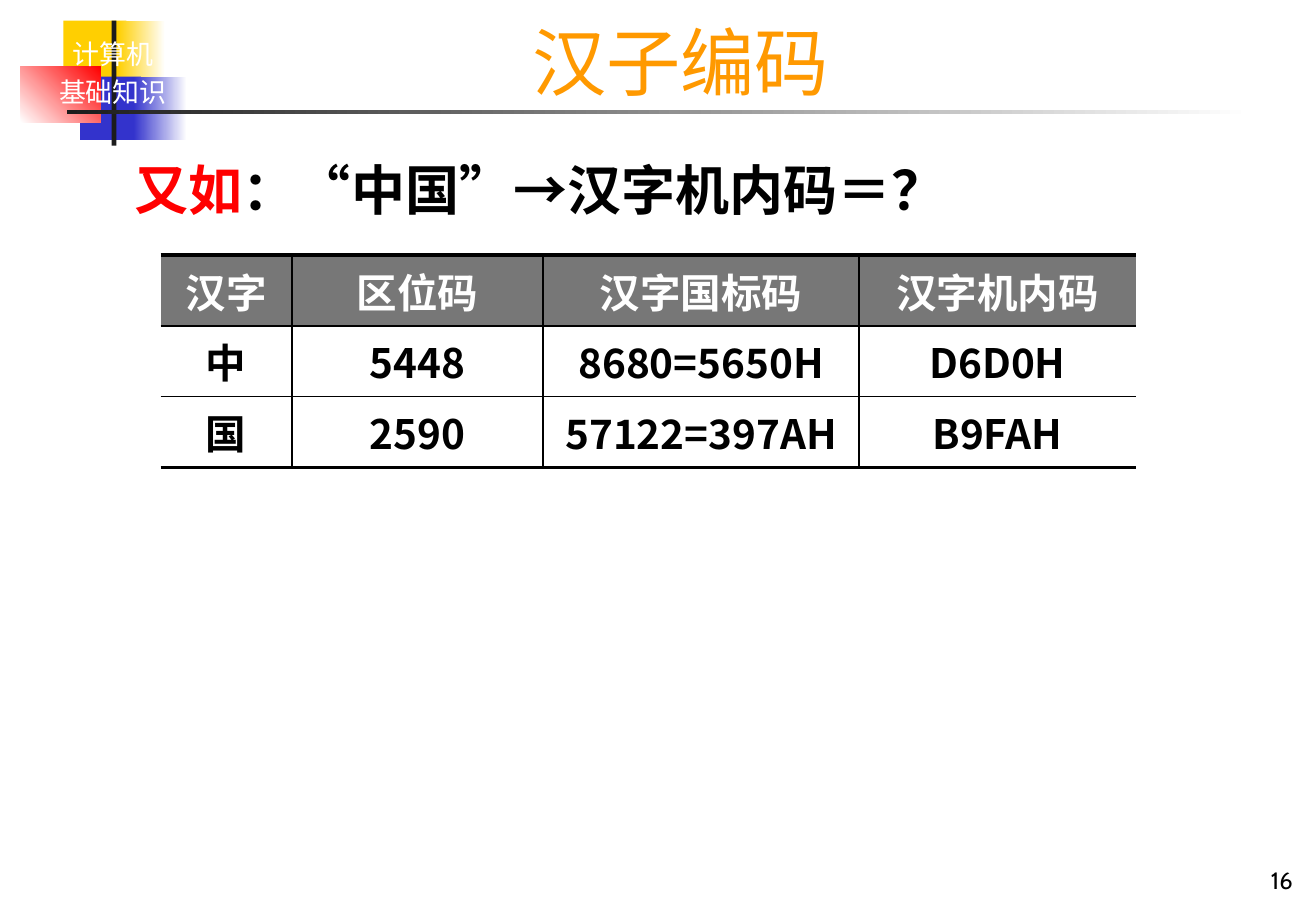
from lxml.etree import SubElement
from pptx import Presentation
from pptx.dml.color import RGBColor
from pptx.enum.shapes import MSO_SHAPE as Preset
from pptx.enum.text import MSO_ANCHOR as Anchor, PP_ALIGN as Align
from pptx.oxml.ns import qn
from pptx.util import Pt

YELLOW = RGBColor(0xFF, 0xCF, 0x01)
BLUE = RGBColor(0x33, 0x33, 0xCC)
RED = RGBColor(0xFF, 0x00, 0x00)
ORANGE = RGBColor(0xFF, 0x99, 0x00)
INK = RGBColor(0x1C, 0x1C, 0x1C)
GRAY = RGBColor(0x77, 0x77, 0x77)
BLACK = RGBColor(0x00, 0x00, 0x00)
WHITE = RGBColor(0xFF, 0xFF, 0xFF)

HAN, CABIN, TIMES = "Noto Sans CJK SC", "Cabin", "Times New Roman"

EMBLEM = [
    ((37.5, 12.2, 37.5, 37.5), (YELLOW,), 0),
    ((69.8, 12.2, 28.1, 37.5), (YELLOW, WHITE), 0),
    ((47.5, 45.4, 36, 37.5), (BLUE,), 0),
    ((79.2, 45.4, 31.7, 37.5), (BLUE, WHITE), 0),
    ((12.2, 39.6, 47.5, 33.1), (WHITE, RED), 45),
    ((66.2, 12.2, 2.9, 74.2), (INK,), 0),
    ((39.6, 65.5, 702, 2.2), (INK, WHITE), 0),
]
COURSE = ["计算机", "基础知识"]
TITLE = "汉子编码"
PAGE = "16"
QUESTION = [
    ("又如", HAN, RED),
    ("：", HAN, BLACK),
    ("“", TIMES, BLACK),
    ("中国", HAN, BLACK),
    ("”", TIMES, BLACK),
    ("→汉字机内码＝？", HAN, BLACK),
]
CODES = [
    ("汉字", "区位码", "汉字国标码", "汉字机内码"),
    ("中", "5448", "8680=5650H", "D6D0H"),
    ("国", "2590", "57122=397AH", "B9FAH"),
]
CODE_WIDTHS = [77.8, 149, 187.2, 164.2]
CODE_LEFT, CODE_TOP, ROW_HEIGHT = 95.2, 151.2, 42
THICK, THIN = 2.25, 1


def style(run, size, face, color, bold=False):
    font = run.font
    font.size, font.name, font.bold = Pt(size), face, bold
    font.color.rgb = color
    SubElement(run._r.get_or_add_rPr(), qn("a:ea")).set("typeface", HAN)


def text_frame(slide, box, anchor=Anchor.TOP):
    frame = slide.shapes.add_textbox(*map(Pt, box)).text_frame
    frame.word_wrap = True
    frame.vertical_anchor = anchor
    return frame


def write(frame, text, align, size, face, color):
    frame.text = text
    for line in frame.paragraphs:
        line.alignment = align
        style(line.runs[0], size, face, color)


def border(cell, side, width):
    line = SubElement(cell._tc.get_or_add_tcPr(), qn("a:ln" + side))
    line.set("w", str(Pt(width)))
    if width:
        paint = SubElement(line, qn("a:solidFill"))
        SubElement(paint, qn("a:srgbClr")).set("val", str(BLACK))
    else:
        SubElement(line, qn("a:noFill"))


def draw_emblem(slide):
    for box, colors, angle in EMBLEM:
        block = slide.shapes.add_shape(Preset.RECTANGLE, *map(Pt, box))
        block.shadow.inherit = False
        block.line.fill.background()
        if len(colors) == 1:
            block.fill.solid()
            block.fill.fore_color.rgb = colors[0]
            continue
        block.fill.gradient()
        block.fill.gradient_angle = angle
        for stop, color in zip(block.fill.gradient_stops, colors):
            stop.color.rgb = color


def draw_codes(slide):
    rows, cols = len(CODES), len(CODE_WIDTHS)
    codes = slide.shapes.add_table(
        rows, cols, Pt(CODE_LEFT), Pt(CODE_TOP),
        Pt(sum(CODE_WIDTHS)), Pt(ROW_HEIGHT * rows)).table
    codes.first_row = codes.horz_banding = False
    for column, width in zip(codes.columns, CODE_WIDTHS):
        column.width = Pt(width)
    for r, values in enumerate(CODES):
        codes.rows[r].height = Pt(ROW_HEIGHT)
        face, color, ground = (HAN, BLACK, WHITE) if r else (CABIN, WHITE, GRAY)
        for c, value in enumerate(values):
            cell = codes.cell(r, c)
            cell.text = value
            cell.vertical_anchor = Anchor.MIDDLE
            line = cell.text_frame.paragraphs[0]
            line.alignment = Align.CENTER
            style(line.runs[0], 24, face, color, True)
            border(cell, "L", THIN if c else 0)
            border(cell, "R", THIN if c < cols - 1 else 0)
            border(cell, "T", THIN if r else THICK)
            border(cell, "B", THIN if r < rows - 1 else THICK)
            cell.fill.solid()
            cell.fill.fore_color.rgb = ground


def main():
    deck = Presentation()
    deck.slide_width, deck.slide_height = Pt(780), Pt(540)
    slide = deck.slides.add_slide(deck.slide_layouts[6])

    draw_emblem(slide)
    course = text_frame(slide, (21.6, 15.6, 90.7, 49.7))
    write(course, "\n".join(COURSE), Align.CENTER, 16, CABIN, WHITE)
    for line in course.paragraphs:
        line.line_spacing = Pt(22.5)

    page = text_frame(slide, (690.5, 509.8, 82.8, 23.8), Anchor.BOTTOM)
    write(page, PAGE, Align.RIGHT, 14, CABIN, BLACK)

    question = text_frame(slide, (43.9, 89.3, 691.9, 56.2))
    question.margin_left = Pt(36)
    for text, face, color in QUESTION:
        run = question.paragraphs[0].add_run()
        run.text = text
        style(run, 32, face, color, True)

    draw_codes(slide)
    title = text_frame(slide, (149, 5.8, 509, 59.8), Anchor.MIDDLE)
    write(title, TITLE, Align.CENTER, 44, HAN, ORANGE)
    deck.save("out.pptx")


if __name__ == "__main__":
    main()
